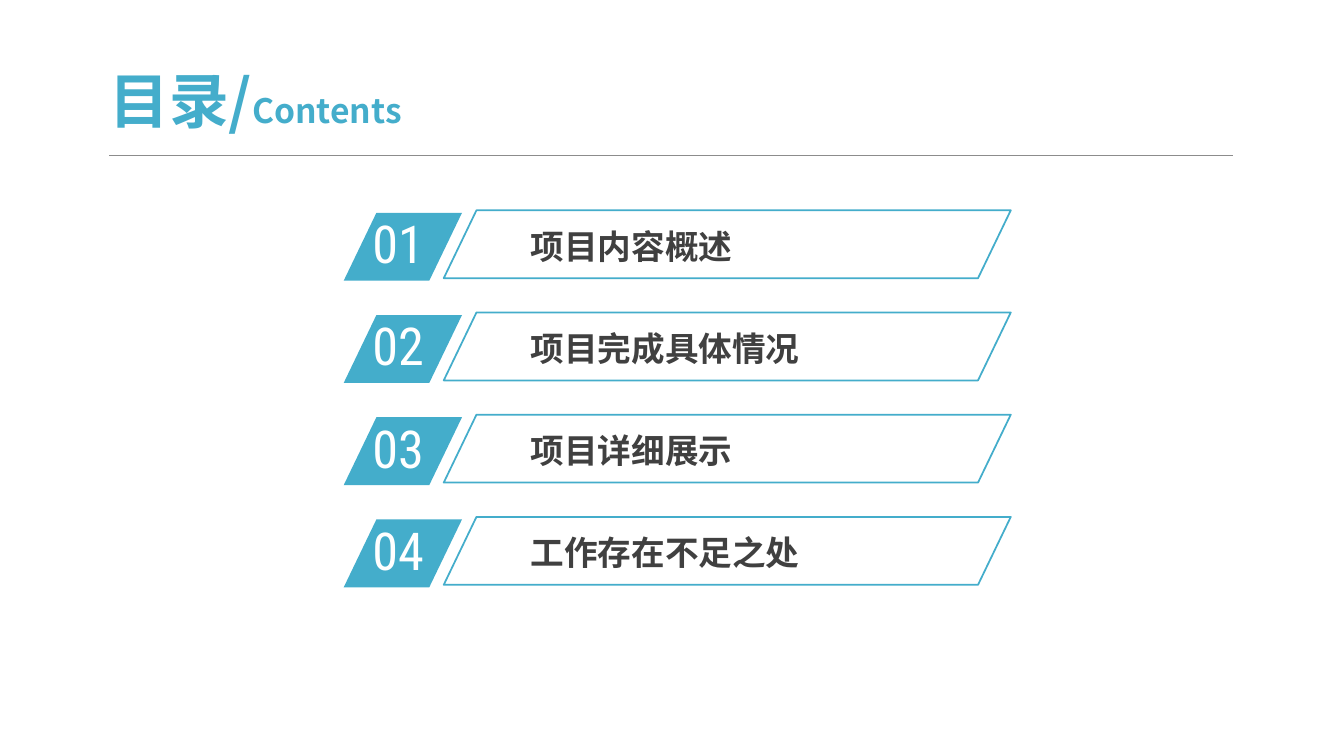
"""Build a contents slide with four numbered chapters."""
from lxml import etree
from pptx import Presentation
from pptx.dml.color import RGBColor
from pptx.enum.shapes import MSO_CONNECTOR, MSO_SHAPE
from pptx.enum.text import MSO_ANCHOR, PP_ALIGN
from pptx.oxml.ns import qn
from pptx.util import Pt

PARALLELOGRAM = MSO_SHAPE.PARALLELOGRAM
STRAIGHT = MSO_CONNECTOR.STRAIGHT
LEFT, CENTER = PP_ALIGN.LEFT, PP_ALIGN.CENTER
TOP, MIDDLE = MSO_ANCHOR.TOP, MSO_ANCHOR.MIDDLE

COLORS = {"accent": "44ADCB", "ink": "404040", "rule": "8C8C8C", "white": "FFFFFF"}
CJK_FONT = "Noto Sans CJK SC"
NUMBER_FONT = "Roboto Condensed"
SLANT = 0.482
ROW_PITCH = 73
CHAPTERS = ["项目内容概述", "项目完成具体情况", "项目详细展示", "工作存在不足之处"]


def color(name):
    return RGBColor.from_string(COLORS[name])


def add_run(paragraph, text, size=24, font=CJK_FONT, ink="ink", bold=True):
    run = paragraph.add_run()
    run.text = text
    run.font.size = Pt(size)
    run.font.name = font
    run.font.bold = bold
    run.font.color.rgb = color(ink)
    east_asian = etree.Element(qn("a:ea"), typeface=font)
    run.font._element.find(qn("a:latin")).addnext(east_asian)


class ContentsSlide:
    def __init__(self, presentation):
        self.shapes = presentation.slides.add_slide(presentation.slide_layouts[6]).shapes

    def text(self, box, parts, align=LEFT, anchor=TOP, **style):
        frame = self.shapes.add_textbox(*map(Pt, box)).text_frame
        frame.word_wrap = True
        frame.vertical_anchor = anchor
        paragraph = frame.paragraphs[0]
        paragraph.alignment = align
        for words, size in parts:
            add_run(paragraph, words, size=size, **style)

    def rule(self, left, top, right):
        line = self.shapes.add_connector(STRAIGHT, Pt(left), Pt(top), Pt(right), Pt(top))
        line.line.color.rgb = color("rule")
        line.line.width = Pt(0.75)
        etree.SubElement(line._element.spPr, qn("a:effectLst"))

    def slanted(self, box, fill=None, outline=None):
        panel = self.shapes.add_shape(PARALLELOGRAM, *map(Pt, box))
        panel.adjustments[0] = SLANT
        panel.shadow.inherit = False
        if fill:
            panel.fill.solid()
            panel.fill.fore_color.rgb = color(fill)
        else:
            panel.fill.background()
        if outline:
            panel.line.color.rgb = color(outline)
            panel.line.width = Pt(1.25)
        else:
            panel.line.fill.background()

    def chapter(self, number, title):
        offset = (number - 1) * ROW_PITCH
        self.slanted((245.5, 152 + offset, 84.5, 48.5), fill="accent")
        self.text((259, 147.6 + offset, 81, 52.5), [(f"{number:02}", 37.3)],
                  font=NUMBER_FONT, ink="white", bold=False)
        self.text((372, 157.6 + offset, 297, 36), [(title, 24)])
        self.slanted((317, 150.2 + offset, 405, 48.5), outline="accent")


def main():
    presentation = Presentation()
    presentation.slide_width, presentation.slide_height = Pt(960), Pt(540)
    contents = ContentsSlide(presentation)
    contents.text((64, 45.4, 237, 52), [("目录/", 42.7), ("Contents", 24)],
                  align=CENTER, anchor=MIDDLE, ink="accent")
    contents.rule(78, 111.4, 880.5)
    for number, title in enumerate(CHAPTERS, start=1):
        contents.chapter(number, title)
    presentation.save("out.pptx")


if __name__ == "__main__":
    main()
